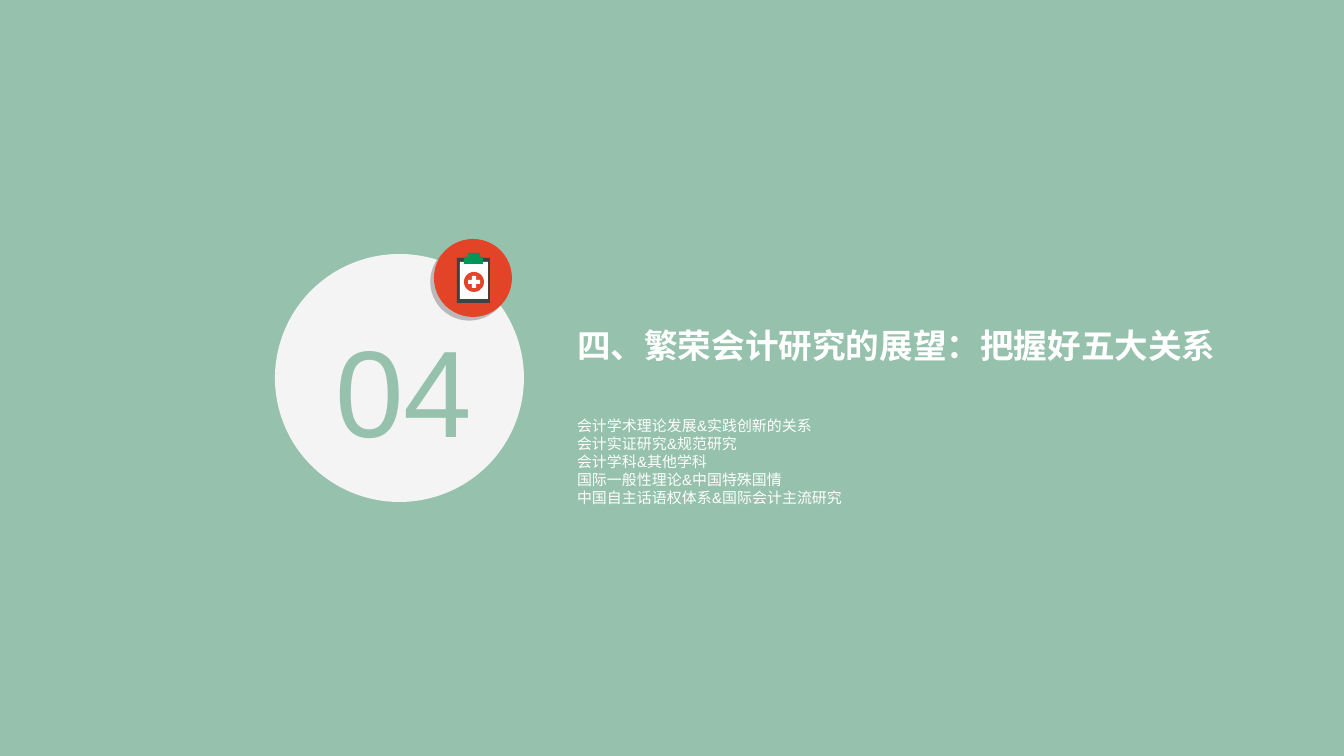
from lxml.etree import SubElement
from pptx import Presentation
from pptx.dml.color import RGBColor
from pptx.enum.shapes import MSO_SHAPE as Shape
from pptx.enum.text import MSO_ANCHOR as Anchor, MSO_AUTO_SIZE as AutoSize, PP_ALIGN as Align
from pptx.oxml.ns import qn
from pptx.util import Pt

EMU_PER_PX = 914400 / 134.4
FONT = "Arial"
COLORS = {
    "sage": "95C1AD",
    "pale": "F4F4F4",
    "white": "FFFFFF",
    "red": "E34326",
    "charcoal": "414042",
    "green": "009658",
    "shadow": "808080",
}

HEADING = "四、繁荣会计研究的展望：把握好五大关系"
RELATIONS = [
    "会计学术理论发展&实践创新的关系",
    "会计实证研究&规范研究",
    "会计学科&其他学科",
    "国际一般性理论&中国特殊国情",
    "中国自主话语权体系&国际会计主流研究",
]


def px(length):
    return round(length * EMU_PER_PX)


def rgb(color):
    return RGBColor.from_string(COLORS[color])


def paint(shape, color):
    shape.shadow.inherit = False
    shape.fill.solid()
    shape.fill.fore_color.rgb = rgb(color)
    shape.line.fill.background()
    return shape


def add_filled(shapes, preset, box, color):
    return paint(shapes.add_shape(preset, *map(px, box)), color)


def add_outline(shapes, points, color):
    builder = shapes.build_freeform(*points[0], scale=EMU_PER_PX)
    builder.add_line_segments(points[1:], close=True)
    return paint(builder.convert_to_shape(), color)


def add_drop_shadow(shape):
    """Cast a soft grey shadow to the lower left."""
    effects = shape._element.spPr.find(qn("a:effectLst"))
    shadow = SubElement(effects, qn("a:outerShdw"), blurRad="0", dist=str(Pt(2.8)),
                        dir=str(135 * 60000), algn="tr", rotWithShape="0")
    tint = SubElement(shadow, qn("a:srgbClr"), val=COLORS["shadow"])
    SubElement(tint, qn("a:alpha"), val="50000")


def write(holder, box, lines, size, color, align=Align.LEFT, bold=False, inset=(0, 0)):
    """Place a text holder and fill it with one plain paragraph per line."""
    holder.left, holder.top, holder.width, holder.height = map(px, box)
    frame = holder.text_frame
    frame.text = "\n".join(lines)
    frame.word_wrap = True
    frame.auto_size = AutoSize.NONE
    frame.vertical_anchor = Anchor.TOP
    frame.margin_left = frame.margin_right = px(inset[0])
    frame.margin_top = frame.margin_bottom = px(inset[1])
    for paragraph in frame.paragraphs:
        paragraph.alignment = align
        paragraph.space_before = Pt(0)
        paragraph.font.name = FONT
        paragraph.font.size = Pt(size)
        paragraph.font.bold = bold
        paragraph.font.color.rgb = rgb(color)


def add_number_disc(slide, left, top, width, height):
    add_filled(slide.shapes, Shape.OVAL, (left, top, width, height), "pale")
    number = slide.shapes.add_textbox(0, 0, 0, 0)
    write(number, (left + 37, top + 53, 184, 161), ["04"], 66, "sage",
          align=Align.CENTER, inset=(13, 7))


def add_clipboard_badge(slide, left, top, size):
    badge = slide.shapes.add_group_shape().shapes
    disc = add_filled(badge, Shape.OVAL, (left, top, size, size), "red")
    add_drop_shadow(disc)
    add_filled(badge, Shape.RECTANGLE, (left + 23, top + 19, 33, 45), "charcoal")
    add_filled(badge, Shape.RECTANGLE, (left + 26, top + 23, 28, 37), "white")

    clip = [(46, 18), (46, 14), (34, 14), (34, 18), (30, 18), (30, 25), (49, 25), (49, 18)]
    add_outline(badge, [(left + x, top + y) for x, y in clip], "green")

    add_filled(badge, Shape.OVAL, (left + 30, top + 33, 20, 20), "red")
    cross = [(12, 4), (8, 4), (8, 0), (4, 0), (4, 4), (0, 4),
             (0, 8), (4, 8), (4, 12), (8, 12), (8, 8), (12, 8)]
    add_outline(badge, [(left + 34 + x, top + 37 + y) for x, y in cross], "white")


def add_section_text(slide, left, top, width):
    heading, relations = slide.placeholders
    write(heading, (left, top, width, 40), [HEADING], 18, "white", bold=True)
    write(relations, (left - 13, top + 85, 487, 103), RELATIONS, 8, "white", inset=(13, 7))
    for paragraph in relations.text_frame.paragraphs:
        properties = paragraph._p.get_or_add_pPr()
        properties.set("marL", "0")
        properties.set("indent", "0")
        SubElement(properties, qn("a:buNone"))


def main():
    deck = Presentation()
    deck.slide_width, deck.slide_height = px(1344), px(756)
    slide = deck.slides.add_slide(deck.slide_layouts[1])
    slide.background.fill.solid()
    slide.background.fill.fore_color.rgb = rgb("sage")

    add_number_disc(slide, 275, 254, 249, 248)
    add_section_text(slide, 577, 325, 677)
    add_clipboard_badge(slide, 434, 239, 78)
    deck.save("out.pptx")


if __name__ == "__main__":
    main()
